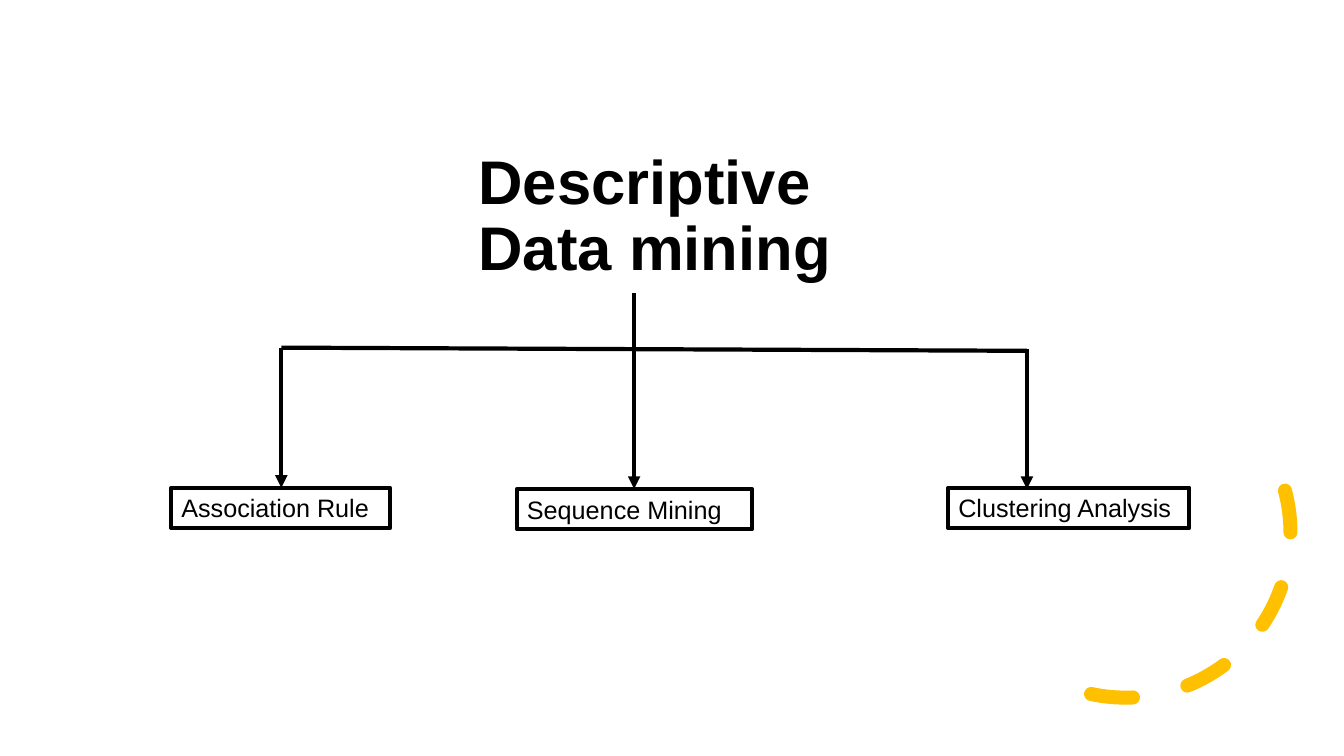
"""Build the slide with the tree of descriptive data mining methods."""
from dataclasses import dataclass

import pptx
import pptx.dml.color
import pptx.enum.dml
import pptx.enum.shapes
import pptx.enum.text
import pptx.oxml.ns
import pptx.oxml.xmlchemy
import pptx.util

Cm, Pt = pptx.util.Cm, pptx.util.Pt
COLORS = {"ink": "000000", "gold": "FFC000"}
FONT = "Arial"
STROKE = 3
TOP, HEIGHT = 12.29, 1.02
STEM, LEFT, RIGHT = 15.98, 7.09, 25.88
BAR, BAR_END = 8.76, 8.84


@dataclass
class Method:
    text: str
    left: float
    width: float
    top: float = TOP


@dataclass
class Link:
    x1: float
    y1: float
    x2: float
    y2: float
    arrow: bool = False


METHODS = [
    Method("Clustering Analysis", 23.9, 6.07),
    Method("Association Rule", 4.32, 5.51),
    Method("Sequence Mining", 13.03, 5.92, 12.32),
]
LINKS = [
    Link(STEM, 7.39, STEM, BAR_END),
    Link(LEFT, BAR, RIGHT, BAR_END),
    Link(LEFT, BAR, LEFT, TOP, True),
    Link(RIGHT, 8.79, RIGHT, 12.32, True),
    Link(STEM, 8.79, STEM, 12.32, True),
]


def color(name: str) -> pptx.dml.color.RGBColor:
    return pptx.dml.color.RGBColor.from_string(COLORS[name])


def stroke(line, name: str, width: float) -> None:
    line.color.rgb = color(name)
    line.width = Pt(width)


def add_text(slide, text: str, left: float, top: float, width: float,
             height: float, size: int, bold: bool = False):
    box = slide.shapes.add_textbox(Cm(left), Cm(top), Cm(width), Cm(height))
    frame = box.text_frame
    frame.word_wrap = True
    frame.text = text
    font = frame.paragraphs[0].runs[0].font
    font.name, font.size, font.bold = FONT, Pt(size), bold
    font.color.rgb = color("ink")
    return box


def add_method(slide, method: Method) -> None:
    box = add_text(slide, method.text, method.left, method.top,
                   method.width, HEIGHT, 18)
    box.text_frame.auto_size = pptx.enum.text.MSO_AUTO_SIZE.SHAPE_TO_FIT_TEXT
    stroke(box.line, "ink", STROKE)


def add_link(slide, link: Link) -> None:
    line = slide.shapes.add_connector(
        pptx.enum.shapes.MSO_CONNECTOR.STRAIGHT,
        Cm(link.x1), Cm(link.y1), Cm(link.x2), Cm(link.y2))
    stroke(line.line, "ink", STROKE)
    props = line._element.spPr
    props.append(pptx.oxml.xmlchemy.OxmlElement("a:effectLst"))
    if link.arrow:
        tail = pptx.oxml.xmlchemy.OxmlElement("a:tailEnd")
        tail.set("type", "triangle")
        props.find(pptx.oxml.ns.qn("a:ln")).append(tail)


def add_arc(slide) -> None:
    arc = slide.shapes.add_shape(pptx.enum.shapes.MSO_SHAPE.ARC,
                                 Cm(24.21), Cm(9.27), Cm(8.31), Cm(8.31))
    arc.adjustments[0] = 144.42
    arc.adjustments[1] = 0
    arc.rotation = 104.5
    arc.shadow.inherit = False
    arc.fill.background()
    stroke(arc.line, "gold", 10)
    arc.line.dash_style = pptx.enum.dml.MSO_LINE.DASH
    arc._element.spPr.find(pptx.oxml.ns.qn("a:ln")).set("cap", "rnd")


def add_title(slide) -> None:
    box = add_text(slide, "Descriptive Data mining",
                   11.81, 2.41, 11.05, 6.15, 44, True)
    box.text_frame.vertical_anchor = pptx.enum.text.MSO_ANCHOR.MIDDLE
    para = box.text_frame.paragraphs[0]
    para.line_spacing = 0.9
    para.space_after = Pt(6)


def main() -> None:
    deck = pptx.Presentation()
    deck.slide_width, deck.slide_height = Cm(33.87), Cm(19.05)
    slide = deck.slides.add_slide(deck.slide_layouts[6])
    add_arc(slide)
    for method in METHODS:
        add_method(slide, method)
    for link in LINKS:
        add_link(slide, link)
    add_title(slide)
    deck.save("out.pptx")


if __name__ == "__main__":
    main()
